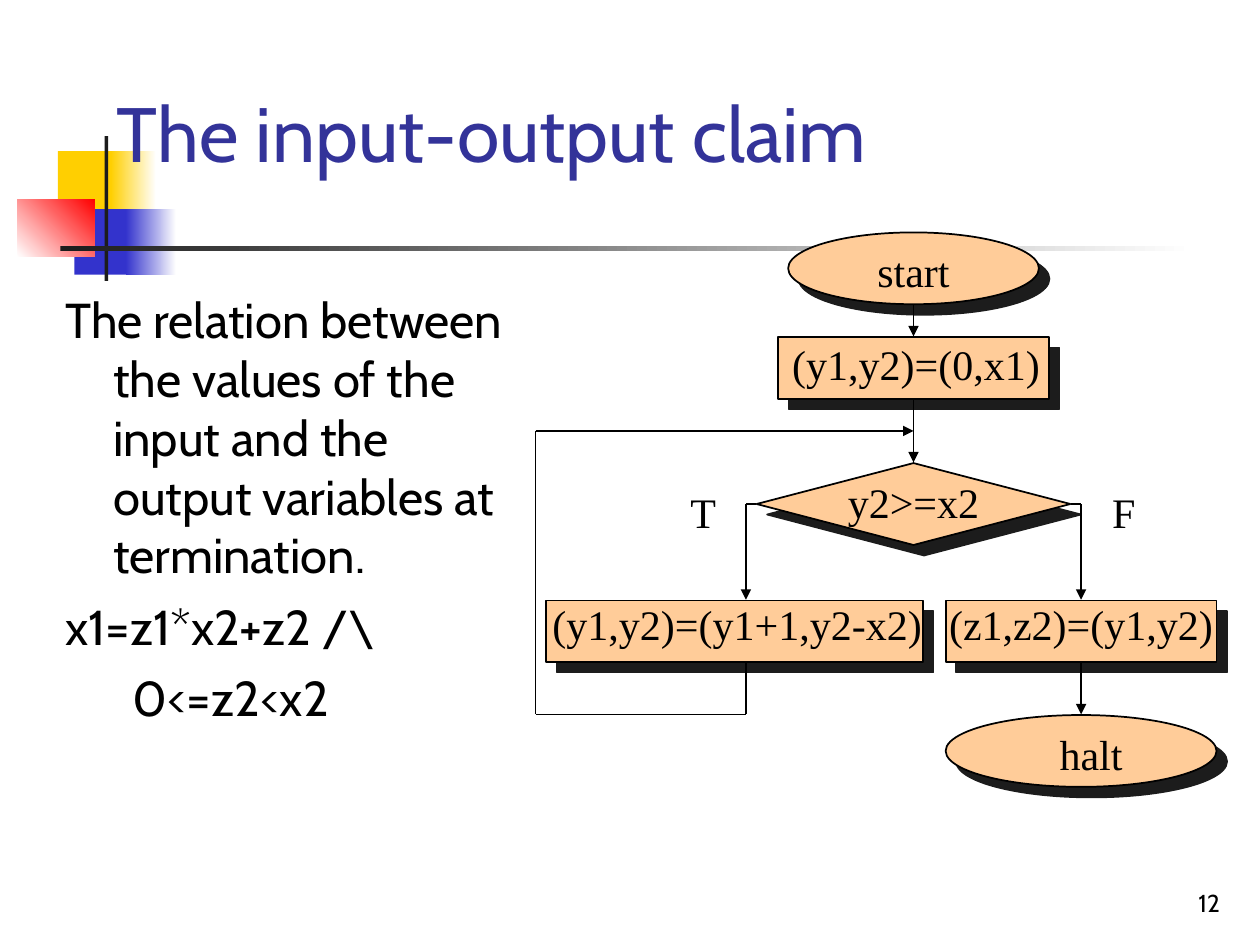
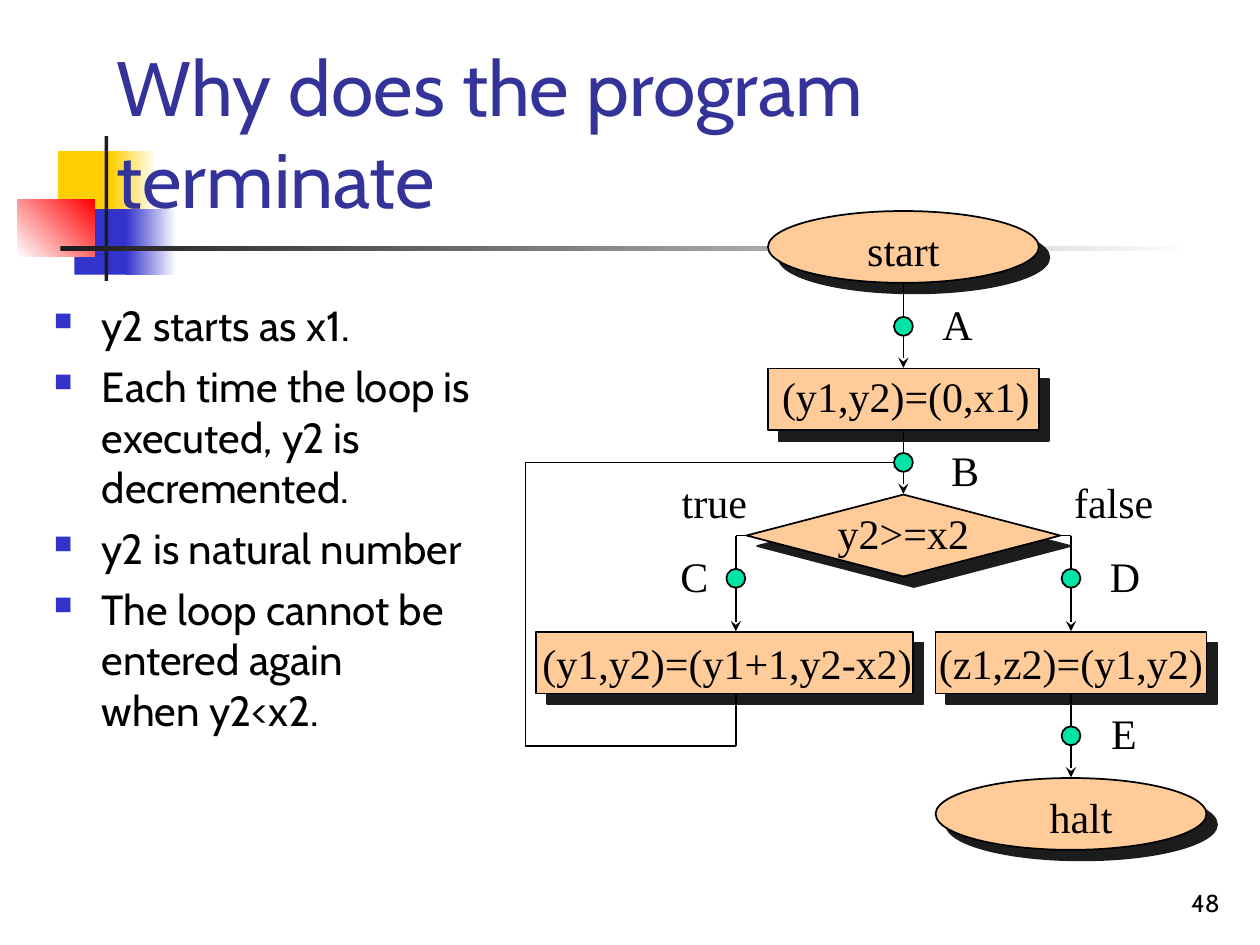
from lxml.etree import SubElement
from pptx import Presentation
from pptx.dml.color import RGBColor
from pptx.enum.shapes import MSO_CONNECTOR, MSO_SHAPE
from pptx.enum.text import MSO_ANCHOR, MSO_AUTO_SIZE, PP_ALIGN
from pptx.oxml.ns import qn
from pptx.util import Inches, Pt

COLUMNS, ROWS = 10, 7.5
BLACK, INK, WHITE = "000000", "1C1C1C", "FFFFFF"
YELLOW, BLUE, RED = "FFCF01", "3333CC", "FF0000"
TITLE_COLOR, NODE_COLOR, MARKER_COLOR = "333399", "FFCC99", "00E4A8"
SANS, SERIF = "Cabin", "Times New Roman"
BRANCH, LOOP = 1.33, 3


def grid(*cells):
    return [Inches(cell) for cell in cells]


def rgb(color):
    return RGBColor.from_string(color)


def write(frame, text, size=24, face=SANS, color=BLACK, align=PP_ALIGN.LEFT,
          before=0, left=0, hang=0, bullet=None):
    para = frame.add_paragraph() if frame.text else frame.paragraphs[0]
    para.text = text
    para.alignment = align
    para.space_before = Pt(before)
    for span in para.runs:
        span.font.size = Pt(size)
        span.font.name = face
        span.font.color.rgb = rgb(color)
    properties = para._p.get_or_add_pPr()
    properties.set("marL", str(Inches(left)))
    properties.set("indent", str(-Inches(hang)))
    if bullet:
        tint = SubElement(properties, qn("a:buClr"))
        SubElement(tint, qn("a:srgbClr"), val=BLUE)
        SubElement(properties, qn("a:buSzPct"), val="60000")
        SubElement(properties, qn("a:buChar"), char=bullet)


def text_box(page, place, anchor=MSO_ANCHOR.TOP, wrap=True):
    frame = page.shapes.add_textbox(*grid(*place)).text_frame
    frame.word_wrap = wrap
    frame.vertical_anchor = anchor
    return frame


def label(page, text, x, y):
    width, height = 0.25 + 0.17 * len(text), 0.5
    place = (x - width / 2, y - height / 2, width, height)
    frame = text_box(page, place, wrap=False)
    frame.auto_size = MSO_AUTO_SIZE.SHAPE_TO_FIT_TEXT
    write(frame, text, face=SERIF, align=PP_ALIGN.CENTER)


def block(page, place, color, fade=None, angle=0, preset=MSO_SHAPE.RECTANGLE):
    shape = page.shapes.add_shape(preset, *grid(*place))
    shape.shadow.inherit = False
    shape.line.fill.background()
    if fade:
        shape.fill.gradient()
        shape.fill.gradient_angle = angle
        for stop, shade in zip(shape.fill.gradient_stops, (color, fade)):
            stop.color.rgb = rgb(shade)
    else:
        shape.fill.solid()
        shape.fill.fore_color.rgb = rgb(color)
    return shape


def outlined(page, preset, x, y, width, height, color):
    place = (x - width / 2, y - height / 2, width, height)
    shape = block(page, place, color, preset=preset)
    shape.line.color.rgb = rgb(BLACK)
    shape.line.width = Pt(1)
    return shape


def node(page, preset, text, x, y, width, height, nudge=(0, 0)):
    shape = outlined(page, preset, x, y, width, height, NODE_COLOR)
    effects = shape._element.spPr.find(qn("a:effectLst"))
    shadow = SubElement(effects, qn("a:outerShdw"), blurRad="0",
                        dist=str(Pt(8.5)), dir="2700000",
                        algn="ctr", rotWithShape="0")
    SubElement(shadow, qn("a:srgbClr"), val=INK)
    label(page, text, x + nudge[0], y + nudge[1])


def marker(page, x, y):
    outlined(page, MSO_SHAPE.OVAL, x, y, 0.15, 0.15, MARKER_COLOR)


def route(page, *points, head=None):
    for start, end in zip(points, points[1:]):
        line = page.shapes.add_connector(MSO_CONNECTOR.STRAIGHT,
                                         *grid(*start, *end))
        line.line.color.rgb = rgb(BLACK)
        line.line.width = Pt(1)
        if head and end == points[-1]:
            SubElement(line.line._get_or_add_ln(), qn("a:tailEnd"), type=head)
        SubElement(line._element.spPr, qn("a:effectLst"))


def flowchart(page, main, test, start, halt, start_width, head, step_drop):
    left, right, loop = main - BRANCH, main + BRANCH, main - LOOP
    assign, junction = test - 1.08, test - 0.58
    step, bottom = test + 1.01, test + 1.67
    oval, box = MSO_SHAPE.OVAL, MSO_SHAPE.RECTANGLE

    node(page, oval, "start", main, start, start_width, 0.57, (0, 0.02))
    node(page, box, "(y1,y2)=(0,x1)", main, assign, 2.15, 0.49, (0.02, -0.03))
    node(page, MSO_SHAPE.DIAMOND, "y2>=x2", main, test, 2.49, 0.65, (0, -0.02))
    node(page, box, "(y1,y2)=(y1+1,y2-x2)", left - 0.09, step, 2.99, 0.49,
         (0.02, step_drop))
    node(page, box, "(z1,z2)=(y1,y2)", right, step, 2.15, 0.49, (0, step_drop))
    node(page, oval, "halt", right, halt, 2.15, 0.57, (0.08, 0.02))

    route(page, (main, start + 0.29), (main, assign - 0.25), head=head)
    route(page, (main, assign + 0.25), (main, test - 0.33), head=head)
    for side, corner in ((left, main - 1.25), (right, main + 1.25)):
        route(page, (corner, test), (side, test), (side, step - 0.25), head=head)
    route(page, (right, step + 0.25), (right, halt - 0.29), head=head)
    route(page, (left, step + 0.25), (left, bottom), (loop, bottom),
          (loop, junction), (main, junction), head=head)


def base_page(deck, title, number):
    page = deck.slides.add_slide(deck.slide_layouts[6])
    block(page, (0.46, 1.2, 0.48, 0.52), YELLOW)
    block(page, (0.88, 1.2, 0.36, 0.52), YELLOW, fade=WHITE)
    block(page, (0.59, 1.66, 0.46, 0.52), BLUE)
    block(page, (1, 1.66, 0.4, 0.52), BLUE, fade=WHITE)
    block(page, (0.14, 1.58, 0.61, 0.46), WHITE, fade=RED, angle=45)
    block(page, (0.83, 1.08, 0.03, 1.15), INK)
    block(page, (0.48, 1.95, 9, 0.04), INK, fade=WHITE)
    write(text_box(page, (7.7, 6.83, 2.08, 0.5), MSO_ANCHOR.BOTTOM),
          number, size=14, align=PP_ALIGN.RIGHT)
    write(text_box(page, (0.83, 0.42, 8.5, 1.25), MSO_ANCHOR.MIDDLE),
          title, size=44, color=TITLE_COLOR)
    return page


def claim_page(deck):
    page = base_page(deck, "The input-output claim", "12")
    flowchart(page, main=7.25, test=4, start=2.13, halt=5.96,
              start_width=1.99, head="triangle", step_drop=-0.06)
    body = text_box(page, (0.42, 2.25, 3.88, 4.5))
    for text in ("The relation between the values of the input and the "
                 "output variables at termination.", "x1=z1*x2+z2 /\\"):
        write(body, text, size=28, before=7, left=0.38, hang=0.38)
    write(body, "0<=z2<x2", size=28, before=7, left=0.53)
    label(page, "T", 5.58, 4.06)
    label(page, "F", 8.92, 4.06)


def termination_page(deck):
    page = base_page(deck, "Why does the program terminate", "48")
    body = text_box(page, (0.33, 2.33, 4.17, 4.5))
    for text in ("y2 starts as x1.",
                 "Each time the loop is executed, y2 is decremented.",
                 "y2 is natural number",
                 "The loop cannot be entered again\vwhen y2<x2."):
        write(body, text, before=6, left=0.38, hang=0.38, bullet="■")

    main, test = 7.17, 4.25
    left, right = main - BRANCH, main + BRANCH
    flowchart(page, main, test, start=1.96, halt=6.46,
              start_width=2.15, head="stealth", step_drop=0)
    for letter, x, y, gap, drop in (("A", main, 2.59, 0.42, -0.02),
                                    ("B", main, 3.67, 0.49, 0.06),
                                    ("C", left, 4.59, -0.33, -0.02),
                                    ("D", right, 4.59, 0.42, -0.02),
                                    ("E", right, 5.84, 0.42, -0.02)):
        marker(page, x, y)
        label(page, letter, x + gap, y + drop)
    label(page, "true", 5.67, 3.98)
    label(page, "false", 8.84, 3.98)


def main():
    deck = Presentation()
    deck.slide_width, deck.slide_height = grid(COLUMNS, ROWS)
    claim_page(deck)
    termination_page(deck)
    deck.save("out.pptx")


if __name__ == "__main__":
    main()
